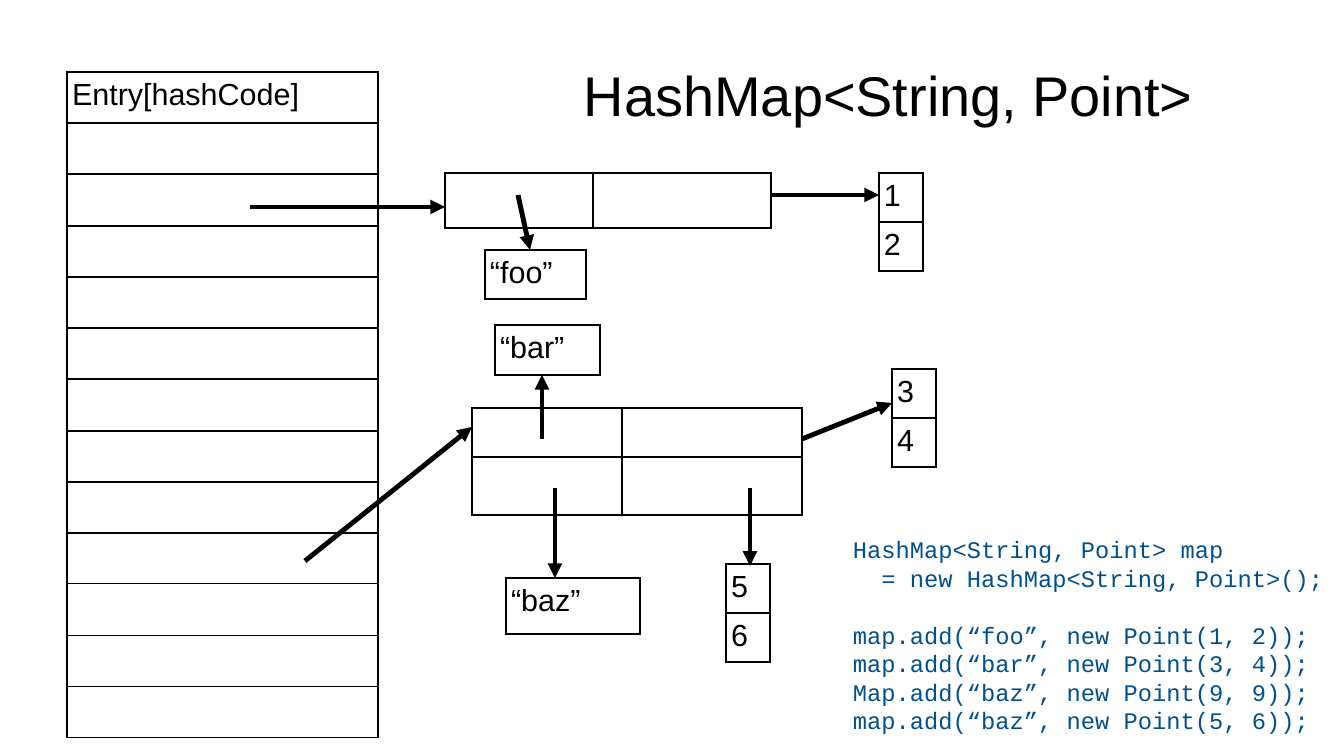
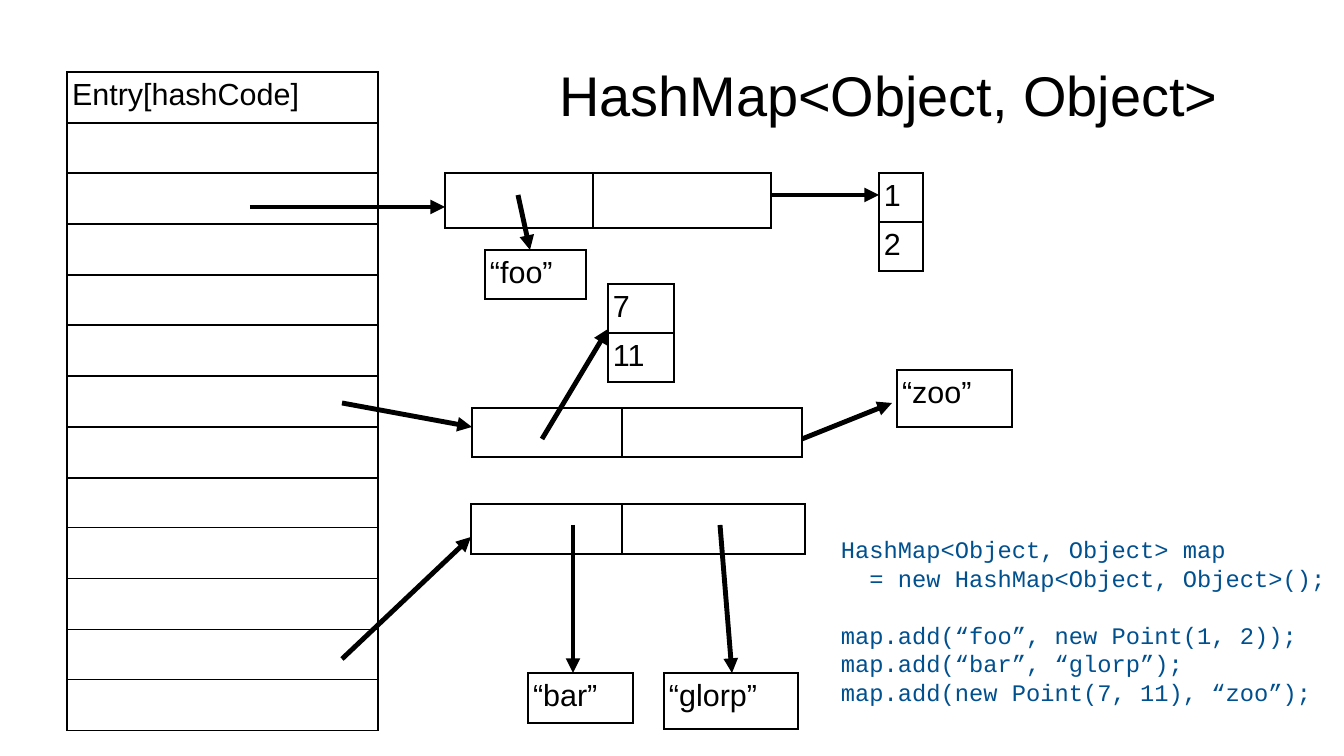
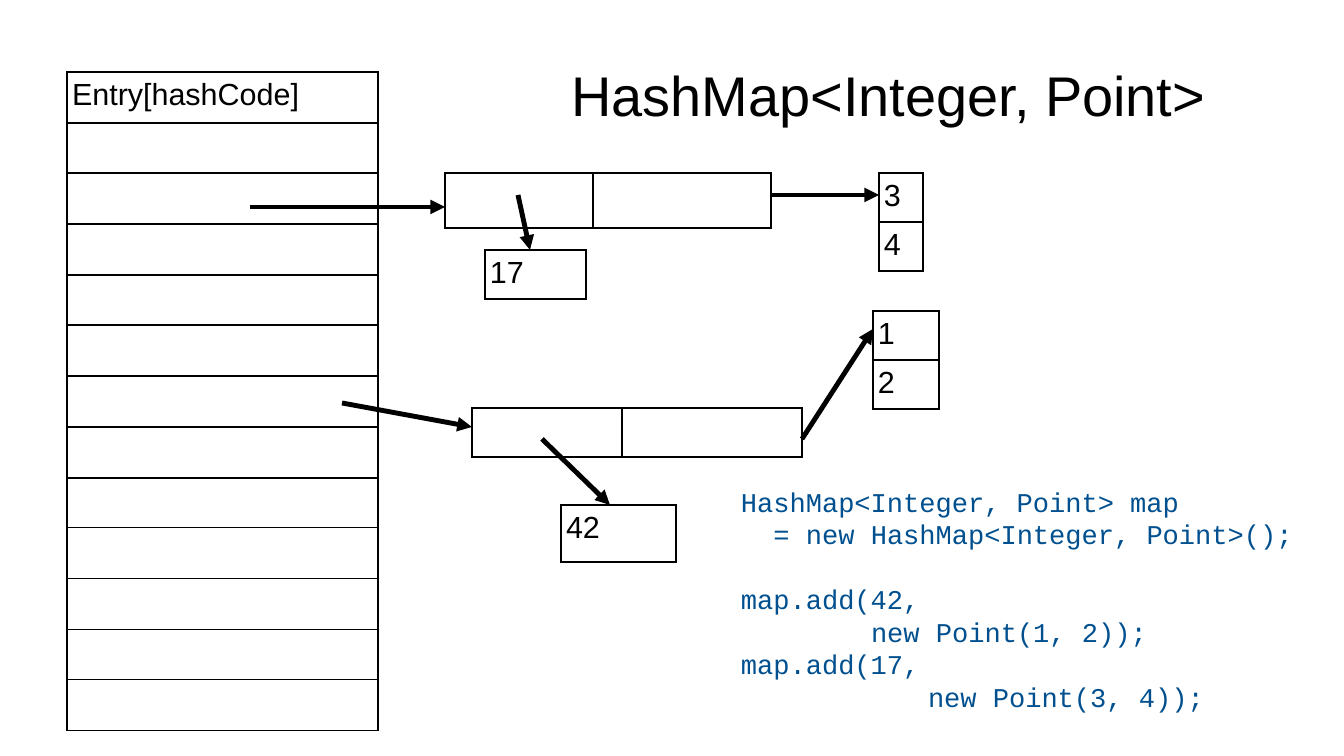
from dataclasses import dataclass

from lxml.etree import SubElement
from pptx import Presentation
from pptx.dml.color import RGBColor
from pptx.enum.shapes import MSO_CONNECTOR as Connector
from pptx.enum.text import MSO_ANCHOR as Anchor, MSO_AUTO_SIZE as AutoSize, PP_ALIGN as Align
from pptx.oxml.ns import qn
from pptx.slide import Slide
from pptx.table import _Cell as Cell
from pptx.text.text import TextFrame
from pptx.util import Emu, Pt

# Shared look
BLACK = RGBColor(0x00, 0x00, 0x00)
WHITE = RGBColor(0xFF, 0xFF, 0xFF)
CODE_BLUE = RGBColor(0x00, 0x50, 0x8F)
SANS, MONO = "Arial", "Courier New"
TITLE_SIZE, CELL_SIZE = 33, 18
BORDER, ARROW_WIDTH = Pt(1.13), Pt(2.89)
CODE_LEADING, CODE_ADVANCE = 1.2, 0.6  # line height and character width, in ems

EMU_PER_PX = 7495
SLIDE_WIDTH, SLIDE_HEIGHT = 1344, 756
TITLE_AREA = (500, 31, 777, 127)
ENTRY_ROWS = 13
POINT_ROW = 49


@dataclass(frozen=True)
class Grid:
    left: int
    top: int
    columns: tuple[int, ...]
    rows: tuple[int, ...]
    texts: tuple[str, ...] = ()  # the first column, from the top


@dataclass(frozen=True)
class Arrow:
    start: tuple[int, int]
    end: tuple[int, int]


@dataclass(frozen=True)
class CodeLine:
    text: str
    indent: float = 0  # in characters
    gap: bool = False  # one line of space above


@dataclass(frozen=True)
class CodeBlock:
    area: tuple[int, int, int, int]
    size: int
    lines: tuple[CodeLine, ...]


@dataclass(frozen=True)
class MapSlide:
    title: str
    entry_height: int
    first_key: str
    first_point: tuple[str, str]
    grids: tuple[Grid, ...]
    arrows: tuple[Arrow, ...]
    code: CodeBlock


def px(length: int) -> Emu:
    return Emu(length * EMU_PER_PX)


def entry_array(height: int) -> Grid:
    edges = [round(height * row / ENTRY_ROWS) for row in range(ENTRY_ROWS + 1)]
    rows = tuple(low - high for high, low in zip(edges, edges[1:]))
    return Grid(67, 72, (311,), rows, ("Entry[hashCode]",))


def label(left: int, top: int, width: int, height: int, text: str) -> Grid:
    return Grid(left, top, (width,), (height,), (text,))


def point(left: int, top: int, x: str, y: str, width: int = 44) -> Grid:
    return Grid(left, top, (width,), (POINT_ROW,) * 2, (x, y))


# Drawing
def write(frame: TextFrame, lines: tuple[CodeLine, ...], *, size: int, font: str = SANS,
          color: RGBColor = BLACK, align: Align = Align.LEFT, leading: float = 0) -> None:
    for number, line in enumerate(lines):
        para = frame.add_paragraph() if number else frame.paragraphs[0]
        para.alignment = align
        if leading:
            para.line_spacing = Pt(size * leading)
        if line.gap:
            para.space_before = Pt(size * leading)
        if line.indent:
            properties = para._p.get_or_add_pPr()
            properties.set("marL", str(Pt(size * CODE_ADVANCE * line.indent)))
            properties.set("indent", "0")
        span = para.add_run()
        span.text = line.text
        span.font.size = Pt(size)
        span.font.name = font
        span.font.color.rgb = color


def set_margins(target: TextFrame | Cell, across: int, down: int) -> None:
    target.margin_left = target.margin_right = px(across)
    target.margin_top = target.margin_bottom = px(down)


def format_cell(cell: Cell) -> None:
    set_margins(cell, 5, 6)
    properties = cell._tc.get_or_add_tcPr()
    for side in ("a:lnL", "a:lnR", "a:lnT", "a:lnB"):
        border = SubElement(properties, qn(side), w=str(BORDER))
        SubElement(SubElement(border, qn("a:solidFill")), qn("a:srgbClr"), val=str(BLACK))
    cell.fill.solid()
    cell.fill.fore_color.rgb = WHITE


def draw_grid(page: Slide, grid: Grid) -> None:
    table = page.shapes.add_table(
        len(grid.rows), len(grid.columns), px(grid.left), px(grid.top),
        px(sum(grid.columns)), px(sum(grid.rows))).table
    table.first_row = table.horz_banding = False
    for column, width in zip(table.columns, grid.columns):
        column.width = px(width)
    for row, height in zip(table.rows, grid.rows):
        row.height = px(height)
    for cell in table.iter_cells():
        format_cell(cell)
    for row_number, text in enumerate(grid.texts):
        write(table.cell(row_number, 0).text_frame, (CodeLine(text),), size=CELL_SIZE)


def draw_arrow(page: Slide, arrow: Arrow) -> None:
    connector = page.shapes.add_connector(
        Connector.STRAIGHT, *(px(value) for value in arrow.start + arrow.end))
    connector.line.color.rgb = BLACK
    connector.line.width = ARROW_WIDTH
    SubElement(connector.line._get_or_add_ln(), qn("a:tailEnd"), type="triangle")
    SubElement(connector._element.spPr, qn("a:effectLst"))


def draw_title(page: Slide, text: str) -> None:
    title = page.shapes.title
    title.left, title.top, title.width, title.height = map(px, TITLE_AREA)
    frame = title.text_frame
    set_margins(frame, 0, 0)
    frame.vertical_anchor = Anchor.MIDDLE
    write(frame, (CodeLine(text),), size=TITLE_SIZE, align=Align.CENTER)


def draw_code(page: Slide, code: CodeBlock) -> None:
    frame = page.shapes.add_textbox(*map(px, code.area)).text_frame
    frame.word_wrap = True
    frame.auto_size = AutoSize.SHAPE_TO_FIT_TEXT
    set_margins(frame, 12, 6)
    write(frame, code.lines, size=code.size, font=MONO, color=CODE_BLUE, leading=CODE_LEADING)


def draw_slide(page: Slide, content: MapSlide) -> None:
    draw_title(page, content.title)
    first_entry = (
        entry_array(content.entry_height),
        Grid(445, 173, (148, 178), (55,)),
        label(485, 250, 101, POINT_ROW, content.first_key),
        point(879, 173, *content.first_point),
    )
    for grid in first_entry + content.grids:
        draw_grid(page, grid)
    for arrow in FIRST_ENTRY_ARROWS + content.arrows:
        draw_arrow(page, arrow)
    draw_code(page, content.code)


# Content
FIRST_ENTRY_ARROWS = (
    Arrow((250, 207), (445, 207)),
    Arrow((518, 195), (530, 250)),
    Arrow((771, 195), (879, 195)),
)
SECOND_BUCKET = Grid(472, 408, (150, 180), (49,))
TO_SECOND_BUCKET = Arrow((342, 403), (472, 427))
TO_SECOND_VALUE = Arrow((802, 439), (892, 403))

SLIDES = (
    MapSlide(
        "HashMap<String, Point>", 666, "“foo”", ("1", "2"),
        grids=(
            Grid(472, 408, (150, 180), (49, 58)),
            label(495, 325, 105, 50, "“bar”"),
            label(506, 578, 134, 56, "“baz”"),
            point(726, 564, "5", "6"),
            point(892, 369, "3", "4"),
        ),
        arrows=(
            Arrow((542, 439), (542, 375)),
            Arrow((555, 488), (555, 578)),
            Arrow((750, 488), (750, 566)),
            TO_SECOND_VALUE,
            Arrow((305, 561), (472, 427)),
        ),
        code=CodeBlock((841, 529, 503, 179), 14, (
            CodeLine("HashMap<String, Point> map"),
            CodeLine("= new HashMap<String, Point>();", indent=2),
            CodeLine("map.add(“foo”, new Point(1, 2));", gap=True),
            CodeLine("map.add(“bar”, new Point(3, 4));"),
            CodeLine("Map.add(“baz”, new Point(9, 9));"),
            CodeLine("map.add(“baz”, new Point(5, 6));"),
        )),
    ),
    MapSlide(
        "HashMap<Object, Object>", 659, "“foo”", ("1", "2"),
        grids=(
            SECOND_BUCKET,
            Grid(471, 504, (151, 183), (50,)),
            label(528, 673, 105, 50, "“bar”"),
            label(664, 673, 134, 56, "“glorp”"),
            point(608, 284, "7", "11", width=66),
            label(897, 370, 115, 57, "“zoo”"),
        ),
        arrows=(
            Arrow((542, 439), (608, 329)),
            Arrow((573, 525), (573, 673)),
            Arrow((720, 525), (732, 673)),
            TO_SECOND_VALUE,
            TO_SECOND_BUCKET,
            Arrow((342, 659), (471, 537)),
        ),
        code=CodeBlock((829, 529, 515, 177), 14, (
            CodeLine("HashMap<Object, Object> map"),
            CodeLine("= new HashMap<Object, Object>();", indent=2),
            CodeLine("map.add(“foo”, new Point(1, 2));", gap=True),
            CodeLine("map.add(“bar”, “glorp”);"),
            CodeLine("map.add(new Point(7, 11), “zoo”);"),
        )),
    ),
    MapSlide(
        "HashMap<Integer, Point>", 659, "17", ("3", "4"),
        grids=(
            SECOND_BUCKET,
            point(873, 311, "1", "2", width=66),
            label(561, 505, 115, 57, "42"),
        ),
        arrows=(
            Arrow((542, 439), (610, 505)),
            Arrow((802, 439), (873, 329)),
            TO_SECOND_BUCKET,
        ),
        code=CodeBlock((729, 479, 588, 228), 16, (
            CodeLine("HashMap<Integer, Point> map"),
            CodeLine("= new HashMap<Integer, Point>();", indent=2),
            CodeLine("map.add(42,", gap=True),
            CodeLine("new Point(1, 2));", indent=8),
            CodeLine("map.add(17,"),
            CodeLine("new Point(3, 4));", indent=11.5),
        )),
    ),
)


def main() -> None:
    deck = Presentation()
    deck.slide_width, deck.slide_height = px(SLIDE_WIDTH), px(SLIDE_HEIGHT)
    title_only = deck.slide_layouts.get_by_name("Title Only")
    for content in SLIDES:
        draw_slide(deck.slides.add_slide(title_only), content)
    deck.save("out.pptx")


if __name__ == "__main__":
    main()
